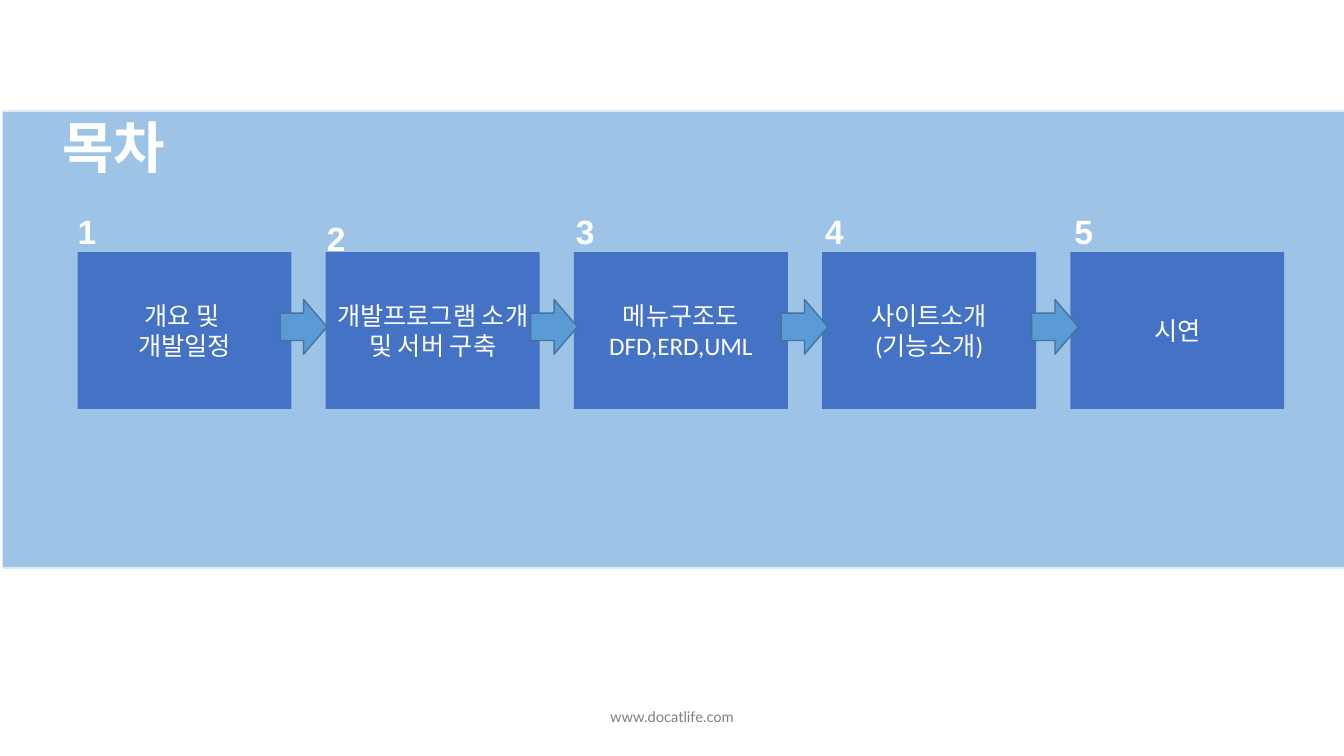
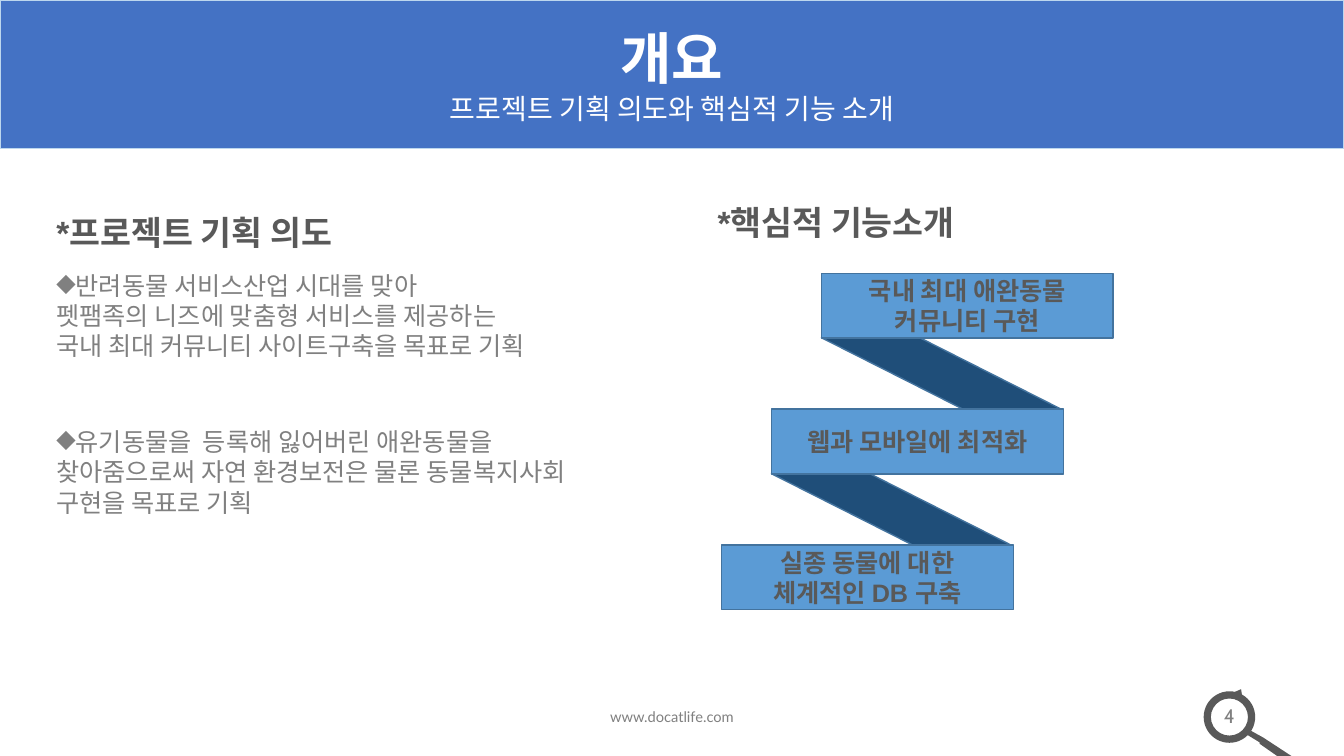
from lxml import etree
from pptx import Presentation
from pptx import util as u
from pptx.dml import color
from pptx.enum import shapes, text
from pptx.oxml import ns

Pt = u.Pt
RGB = color.RGBColor
SHAPE = shapes.MSO_SHAPE
ALIGN = text.PP_ALIGN
ANCHOR = text.MSO_ANCHOR

WIDTH, HEIGHT = 960, 540
WHITE = RGB(0xFF, 0xFF, 0xFF)
GREY = RGB(0x80, 0x80, 0x80)
DARK = RGB(0x59, 0x59, 0x59)
BLUE = RGB(0x44, 0x72, 0xC4)
MID_BLUE = RGB(0x5B, 0x9B, 0xD5)
EDGE_BLUE = RGB(0x43, 0x73, 0x9E)
NAVY = RGB(0x1F, 0x4E, 0x79)
SKY = RGB(0x9D, 0xC3, 0xE6)
PALE = RGB(0xDE, 0xEB, 0xF7)
HEADER_EDGE = RGB(0xBD, 0xD7, 0xEE)

FOOTER = dict(name="Lato", size=10.5, color=GREY)
TITLE = dict(name="Roboto", size=40, color=WHITE, bold=True)
STEP = dict(name="Calibri", size=18, color=WHITE)
NUMBER = dict(name="Arial", size=24, color=WHITE, bold=True)
HEADER = dict(name="Calibri", size=40, color=WHITE, bold=True)
SUBTITLE = dict(name="Calibri", size=20, color=WHITE, bold=False)
HEADING = dict(name="Arial", size=24, color=DARK, bold=True)
BODY = dict(name="Lato", size=18, color=GREY)
BANNER = dict(name="Arial", size=18, color=DARK, bold=True)
PAGE = dict(name="Cabin", size=14, color=GREY)

DEFAULT_INSETS = (7.2, 3.6, 7.2, 3.6)
NO_INSETS = (0, 0, 0, 0)


def set_font(font, style):
    for key, value in style.items():
        if key == "color":
            font.color.rgb = value
        else:
            setattr(font, key, Pt(value) if key == "size" else value)


def add_bullet(p, char):
    """Put a bullet on the paragraph without indenting its wrapped lines."""
    pPr = p._p.get_or_add_pPr()
    pPr.set("marL", "0")
    pPr.set("indent", "0")
    etree.SubElement(pPr, ns.qn("a:buChar")).set("char", char)


def write(tf, lines, styles, align=ALIGN.CENTER, anchor=ANCHOR.MIDDLE,
          insets=DEFAULT_INSETS, bullet=None):
    """Fill a frame; the last style serves all remaining lines."""
    tf.word_wrap = True
    tf.vertical_anchor = anchor
    for side, inset in zip(("left", "top", "right", "bottom"), insets):
        setattr(tf, "margin_" + side, Pt(inset))
    for i, line in enumerate(lines):
        p = tf.paragraphs[0] if i == 0 else tf.add_paragraph()
        if bullet and i == 0:
            add_bullet(p, bullet)
        p.alignment = align
        r = p.add_run()
        r.text = line
        set_font(r.font, styles[min(i, len(styles) - 1)])


def add_text(s, box, lines, style, **layout):
    sp = s.shapes.add_textbox(*map(Pt, box))
    write(sp.text_frame, lines, [style], **layout)


def paint(sp, fill, line=None):
    sp.shadow.inherit = False
    sp.fill.solid()
    sp.fill.fore_color.rgb = fill
    if line is None:
        sp.line.fill.background()
    else:
        sp.line.color.rgb = line
        sp.line.width = Pt(1)


def add_block(s, kind, box, fill, line=None, rotation=0):
    sp = s.shapes.add_shape(kind, *map(Pt, box))
    paint(sp, fill, line)
    sp.rotation = rotation
    return sp


def new_slide(prs):
    """Add a blank slide with the shared footer."""
    s = prs.slides.add_slide(prs.slide_layouts[6])
    add_text(s, (306, 502, 348, 19.5), ["www.docatlife.com"], FOOTER,
             anchor=ANCHOR.TOP)
    return s


def add_steps(s, box, steps):
    """Numbered boxes in a row with an arrow between neighbours."""
    x, y, w, h = box
    block_w, arrow_w, arrow_h = 152.8, 33.4, 39
    pitch = (w - block_w) / (len(steps) - 1)
    for i, (lines, drop) in enumerate(steps):
        sp = add_block(s, SHAPE.RECTANGLE, (x + i * pitch, y, block_w, h), BLUE)
        write(sp.text_frame, lines, [STEP])
        add_text(s, (x + i * (pitch + 0.7), y - 29 + drop, 21, 28),
                 [str(i + 1)], NUMBER, align=ALIGN.LEFT, anchor=ANCHOR.TOP,
                 insets=NO_INSETS)
    for i in range(len(steps) - 1):
        add_block(s, SHAPE.RIGHT_ARROW,
                  (x + 144.8 + i * (pitch + 1.6), y + 34, arrow_w, arrow_h),
                  MID_BLUE, EDGE_BLUE)


def add_header(s, box, title, subtitle):
    sp = add_block(s, SHAPE.RECTANGLE, box, BLUE, HEADER_EDGE)
    write(sp.text_frame, [title, subtitle], [HEADER, SUBTITLE])


def add_heading(s, x, y, heading):
    add_text(s, (x, y, 361.5, 28), [heading], HEADING, align=ALIGN.LEFT,
             anchor=ANCHOR.TOP, insets=NO_INSETS)


def add_aims(s, box, heading, aims):
    """Heading above bulleted paragraphs at an equal pitch."""
    x, y, w, pitch = box
    add_heading(s, x, y, heading)
    for i, lines in enumerate(aims):
        add_text(s, (x, y + 41.8 + i * pitch, w, 64), lines, BODY,
                 align=ALIGN.LEFT, anchor=ANCHOR.TOP, insets=NO_INSETS,
                 bullet="◆")


def add_ribbon(s, box, banners):
    """Banners stepping down to the left, joined by dark slanted folds."""
    x, y, w, h = box
    banner_w, banner_h = 208.4, 46.2
    last = len(banners) - 1
    dx, dy = (w - banner_w) / last, (h - banner_h) / last
    places = [(x + (last - i) * dx, y + i * dy) for i in range(last + 1)]
    for left, top in places[:-1]:
        add_block(s, SHAPE.RECTANGLE, (left - 2.4, top + 56, 177, 31.7),
                  NAVY, EDGE_BLUE, 26.8)
    for (left, top), lines in zip(places, banners):
        sp = add_block(s, SHAPE.RECTANGLE, (left, top, banner_w, banner_h),
                       MID_BLUE, EDGE_BLUE)
        write(sp.text_frame, lines, [BANNER])


def add_page_lens(s, x, y, number):
    """Page number inside a magnifying glass whose ring starts at x, y."""
    size = 36.8
    add_text(s, (x - 3.7, y + 5.2, 44, 24.5), [number], PAGE,
             anchor=ANCHOR.TOP)
    tip = add_block(s, SHAPE.RIGHT_ARROW, (x + 20.8, y - 2, 8, 8), DARK,
                    rotation=298.7)
    tip.adjustments[0], tip.adjustments[1] = 0.32, 0.64
    ring = add_block(s, SHAPE.DONUT, (x, y, size, size), DARK)
    ring.adjustments[0] = 0.14
    handle = [(33.8, 28.2), (42.5, 33), (70, 51), (70.5, 54), (68, 56.3),
              (66.5, 56), (40, 37.5), (40, 36.5), (31, 31)]
    points = [(Pt(x + px), Pt(y + py)) for px, py in handle]
    builder = s.shapes.build_freeform(*points[0], scale=1.0)
    builder.add_line_segments(points[1:], close=True)
    paint(builder.convert_to_shape(), DARK)


def contents_slide(prs):
    s = new_slide(prs)
    add_block(s, SHAPE.RECTANGLE, (1.6, 79.2, WIDTH, 326.5), SKY, PALE)
    add_text(s, (3, 38.2, 164, 132), ["목차"], TITLE,
             insets=(0, 3.6, 7.2, 3.6))
    add_steps(s, (55.4, 180, 862, 112), [
        (["개요 및 ", "개발일정"], 0),
        (["개발프로그램 소개 및 서버 구축"], 4.5),
        (["메뉴구조도", "DFD,ERD,UML"], 0),
        (["사이트소개", "(기능소개)"], 0),
        (["시연"], 0),
    ])


def overview_slide(prs):
    s = new_slide(prs)
    add_header(s, (0, 0, WIDTH, 106), "개요",
               "프로젝트 기획 의도와 핵심적 기능 소개")
    add_aims(s, (40.3, 151.2, 393, 111.6), "*프로젝트 기획 의도", [
        ["반려동물 서비스산업 시대를 맞아",
         "펫팸족의 니즈에 맞춤형 서비스를 제공하는",
         "국내 최대 커뮤니티 사이트구축을 목표로 기획"],
        ["유기동물을  등록해 잃어버린 애완동물을 찾아줌으로써 "
         "자연 환경보전은 물론 동물복지사회 구현을 목표로 기획"],
    ])
    add_heading(s, 512.6, 144, "*핵심적 기능소개")
    add_ribbon(s, (515.4, 195.2, 279.8, 240.4), [
        ["국내 최대 애완동물", "커뮤니티 구현"],
        ["웹과 모바일에 최적화"],
        ["실종 동물에 대한", "체계적인 DB 구축"],
    ])
    add_page_lens(s, 859.8, 493.8, "4")


def main():
    prs = Presentation()
    prs.slide_width, prs.slide_height = Pt(WIDTH), Pt(HEIGHT)
    contents_slide(prs)
    overview_slide(prs)
    prs.save("out.pptx")


if __name__ == "__main__":
    main()
